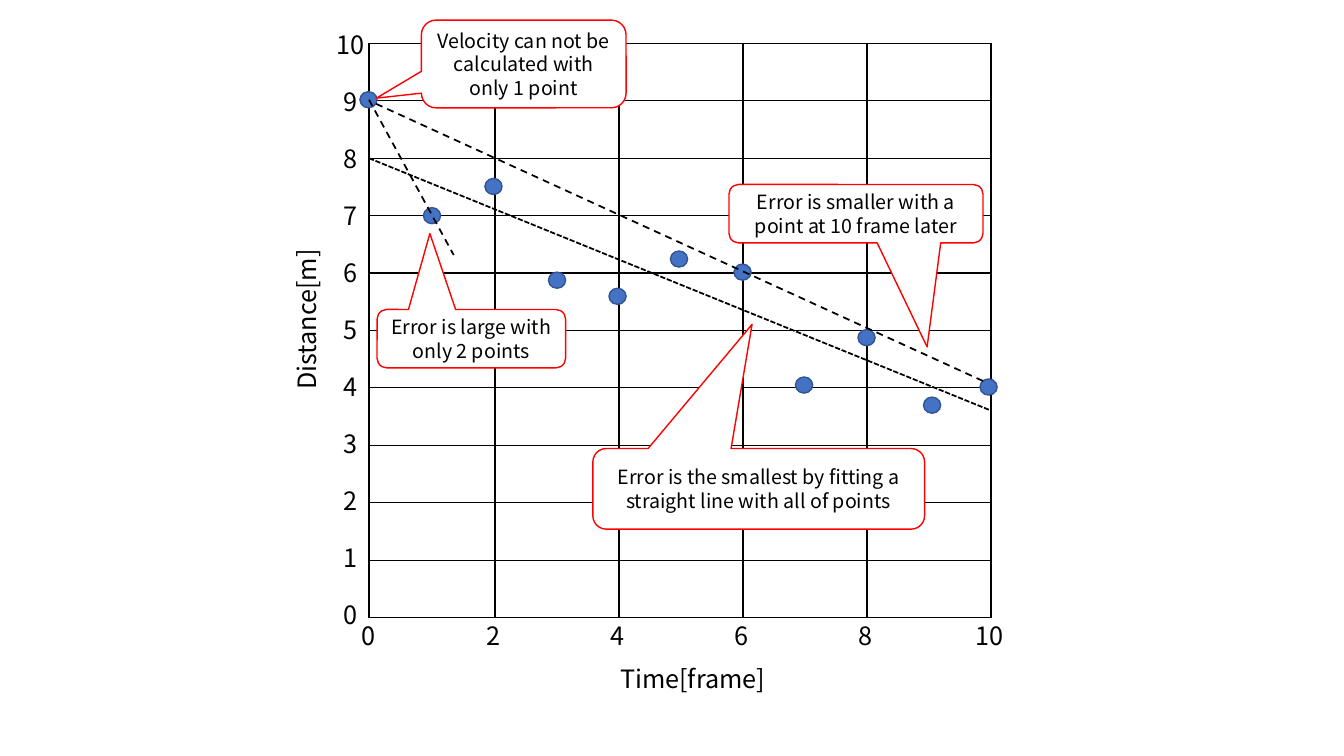
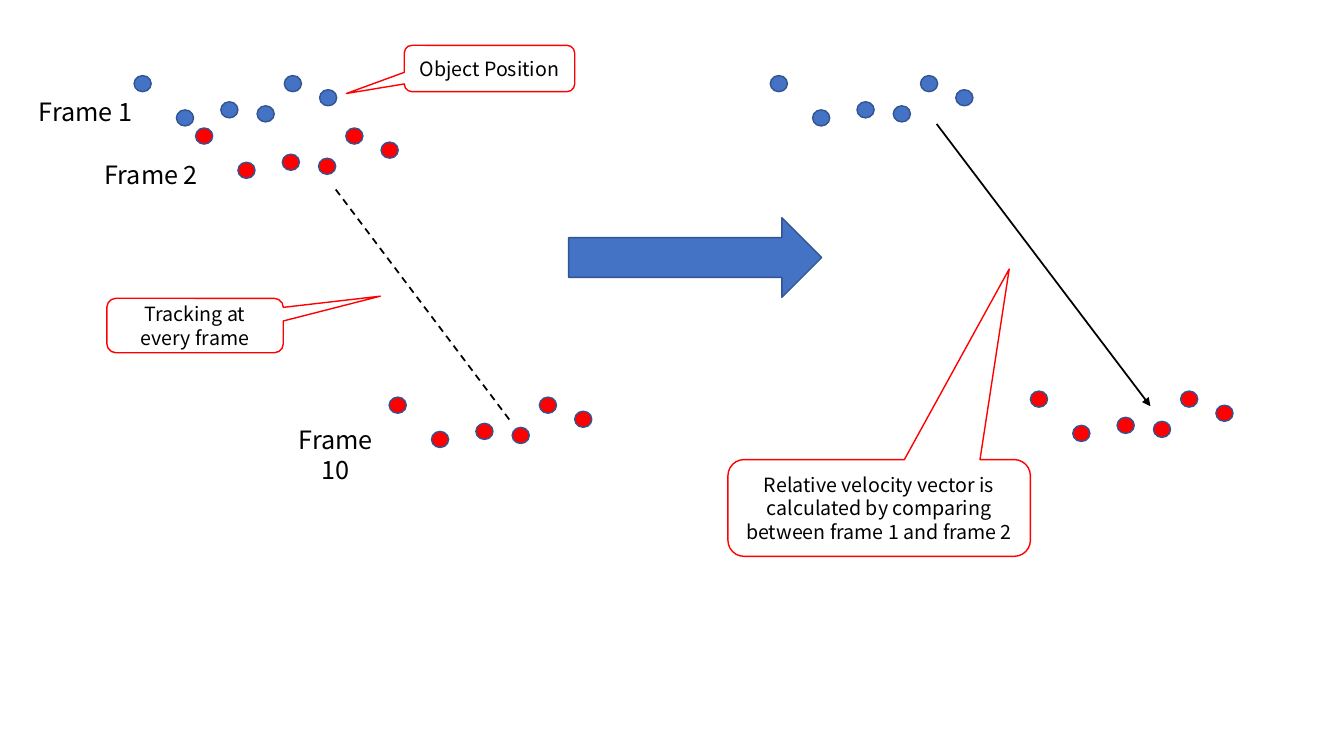
from lxml import etree
from pptx import Presentation
from pptx.dml.color import RGBColor
from pptx.enum.dml import MSO_LINE
from pptx.enum.shapes import MSO_CONNECTOR, MSO_SHAPE
from pptx.enum.text import MSO_ANCHOR, MSO_AUTO_SIZE, PP_ALIGN
from pptx.oxml.ns import qn
from pptx.util import Inches, Pt

BLACK = RGBColor(0x00, 0x00, 0x00)
WHITE = RGBColor(0xFF, 0xFF, 0xFF)
RED = RGBColor(0xFF, 0x00, 0x00)
BLUE = RGBColor(0x44, 0x72, 0xC4)
DARK_BLUE = RGBColor(0x32, 0x54, 0x91)

FONT = "Noto Sans CJK JP"
STRAIGHT = MSO_CONNECTOR.STRAIGHT
ELLIPSE = MSO_SHAPE.OVAL
CALLOUT = MSO_SHAPE.ROUNDED_RECTANGULAR_CALLOUT
RIGHT_ARROW = MSO_SHAPE.RIGHT_ARROW
DASH = MSO_LINE.DASH
SHORT_DASH = MSO_LINE.SQUARE_DOT
CENTER = PP_ALIGN.CENTER
MIDDLE = MSO_ANCHOR.MIDDLE
TOP = MSO_ANCHOR.TOP
FIT_SHAPE = MSO_AUTO_SIZE.SHAPE_TO_FIT_TEXT
BLANK_LAYOUT = 6

DOT_WIDTH, DOT_HEIGHT = 0.17, 0.16
LABEL_HEIGHT = 0.4
BORDER_TAGS = ("a:lnL", "a:lnR", "a:lnT", "a:lnB")

GRID_LEFT, GRID_TOP = 3.66, 0.43
COLUMN_WIDTHS = [1.25, 1.23, 1.23, 1.23, 1.23]
ROW_HEIGHTS = [0.57] * 10
MEASUREMENTS = [
    (3.57, 0.91), (4.2, 2.06), (4.81, 1.77), (5.44, 2.7), (6.04, 2.86), (6.65, 2.49),
    (7.28, 2.62), (7.89, 3.74), (8.51, 3.27), (9.16, 3.94), (9.72, 3.76),
]
OBJECT_OUTLINE = [(0, 0), (0.42, 0.34), (0.86, 0.26), (1.22, 0.3), (1.49, 0), (1.84, 0.14)]


def write_text(shape, text, size=18, color=BLACK, anchor=TOP, wrap=True):
    """Write one centred paragraph into a shape."""
    frame = shape.text_frame
    frame.word_wrap = wrap
    frame.vertical_anchor = anchor
    paragraph = frame.paragraphs[0]
    paragraph.alignment = CENTER
    run = paragraph.add_run()
    run.text = text
    run.font.name = FONT
    run.font.size = Pt(size)
    run.font.color.rgb = color


class DiagramDeck:
    """Hold the shared diagram style and the current slide."""

    def __init__(self):
        """Start an empty widescreen presentation."""
        self.presentation = Presentation()
        self.presentation.slide_width = Inches(13.33)
        self.presentation.slide_height = Inches(7.5)
        self.slide = None

    def new_slide(self):
        """Add a blank slide and make it current."""
        layout = self.presentation.slide_layouts[BLANK_LAYOUT]
        self.slide = self.presentation.slides.add_slide(layout)

    def shape(self, kind, left, top, width, height, fill=BLUE, outline=DARK_BLUE):
        """Add a flat filled shape with a thin outline."""
        shape = self.slide.shapes.add_shape(
            kind, Inches(left), Inches(top), Inches(width), Inches(height))
        shape.shadow.inherit = False
        shape.fill.solid()
        shape.fill.fore_color.rgb = fill
        shape.line.color.rgb = outline
        shape.line.width = Pt(1)
        return shape

    def dots(self, positions, left=0, top=0, fill=BLUE):
        """Add a dot at each position, shifted by left and top."""
        for x, y in positions:
            self.shape(ELLIPSE, left + x, top + y, DOT_WIDTH, DOT_HEIGHT, fill)

    def callout(self, text, left, top, width, height, pointer):
        """Add a red-lined callout whose pointer is relative to its centre."""
        shape = self.shape(CALLOUT, left, top, width, height, WHITE, RED)
        shape.adjustments[0], shape.adjustments[1] = pointer
        write_text(shape, text, size=14, anchor=MIDDLE)

    def label(self, text, center, top, rotation=0, width=0.5):
        """Add an unwrapped label centred on a horizontal position."""
        box = self.slide.shapes.add_textbox(
            Inches(center - width / 2), Inches(top), Inches(width), Inches(LABEL_HEIGHT))
        box.rotation = rotation
        write_text(box, text, wrap=False)
        box.text_frame.auto_size = FIT_SHAPE

    def line(self, start, end, dash=None, arrow=False):
        """Add a black straight line, dashed or with an arrowhead on request."""
        points = [Inches(value) for value in (*start, *end)]
        connector = self.slide.shapes.add_connector(STRAIGHT, *points)
        connector.line.color.rgb = BLACK
        connector.line.width = Pt(1.25)
        if dash is not None:
            connector.line.dash_style = dash
        if arrow:
            etree.SubElement(connector.get_or_add_ln(), qn("a:tailEnd"), type="triangle")
        etree.SubElement(connector._element.spPr, qn("a:effectLst"))

    def grid(self, left, top, column_widths, row_heights):
        """Add an empty table with black borders."""
        table = self.slide.shapes.add_table(
            len(row_heights), len(column_widths), Inches(left), Inches(top),
            Inches(sum(column_widths)), Inches(sum(row_heights))).table
        table.first_row = False
        table.horz_banding = False
        for column, width in zip(table.columns, column_widths):
            column.width = Inches(width)
        for row, height in zip(table.rows, row_heights):
            row.height = Inches(height)
        for cell in table.iter_cells():
            self.border(cell)
            cell.fill.background()

    def border(self, cell):
        """Draw a thin black line on every side of a cell."""
        properties = cell._tc.get_or_add_tcPr()
        for tag in BORDER_TAGS:
            line = etree.SubElement(properties, qn(tag), w=str(Pt(1)))
            fill = etree.SubElement(line, qn("a:solidFill"))
            etree.SubElement(fill, qn("a:srgbClr"), val=str(BLACK))


def build_distance_plot(deck):
    """Build the plot of distance against time."""
    deck.new_slide()
    deck.grid(GRID_LEFT, GRID_TOP, COLUMN_WIDTHS, ROW_HEIGHTS)
    for index in range(6):
        deck.label(str(2 * index), GRID_LEFT + 1.23 * index, 6.1)
    for distance in range(11):
        deck.label(str(distance), 3.48, 5.9 - 5.66 * distance / 10)
    deck.label("Time[frame]", 6.87, 6.53, width=1.66)
    deck.label("Distance[m]", 3.04, 2.97, rotation=270, width=1.64)
    deck.dots(MEASUREMENTS)
    deck.line((3.66, 0.99), (4.5, 2.53), dash=DASH)
    deck.line((3.73, 1.03), (9.75, 3.78), dash=DASH)
    deck.line((3.66, 1.57), (9.82, 4.07), dash=SHORT_DASH)
    deck.callout("Velocity can not be calculated with only 1 point",
                 4.18, 0.2, 2.03, 0.87, (-0.72, 0.39))
    deck.callout("Error is large with only 2 points",
                 3.74, 3.07, 1.87, 0.58, (-0.22, -1.8))
    deck.callout("Error is smaller with a point at 10 frame later",
                 7.23, 1.83, 2.52, 0.58, (0.28, 2.28))
    deck.callout("Error is the smallest by fitting a straight line with all of points",
                 5.88, 4.45, 3.29, 0.8, (-0.02, -2.04))


def build_tracking_diagram(deck):
    """Build the diagram from tracked frames to a velocity vector."""
    deck.new_slide()
    for left, top, fill in [
        (1.33, 0.75, BLUE), (1.94, 1.27, RED), (3.86, 3.94, RED),
        (7.64, 0.75, BLUE), (10.22, 3.88, RED),
    ]:
        deck.dots(OBJECT_OUTLINE, left, top, fill)
    deck.line((3.33, 1.88), (5.08, 4.2), dash=DASH)
    deck.line((9.29, 1.23), (11.41, 4.03), arrow=True)
    for text, center, top in [
        ("Frame 1", 0.85, 0.91), ("Frame 2", 1.5, 1.53), ("Frame 10", 3.33, 4.16),
    ]:
        deck.label(text, center, top, width=1.2)
    deck.callout("Object Position", 4.01, 0.45, 1.69, 0.46, (-0.84, 0.54))
    deck.callout("Tracking at every frame", 1.06, 2.96, 1.75, 0.54, (1.05, -0.54))
    deck.callout("Relative velocity vector is calculated by comparing "
                 "between frame 1 and frame 2", 7.22, 4.56, 3, 0.96, (0.43, -2.47))
    deck.shape(RIGHT_ARROW, 5.64, 2.16, 2.51, 0.79)


def main():
    """Build both slides and save the presentation."""
    deck = DiagramDeck()
    build_distance_plot(deck)
    build_tracking_diagram(deck)
    deck.presentation.save("out.pptx")


if __name__ == "__main__":
    main()
